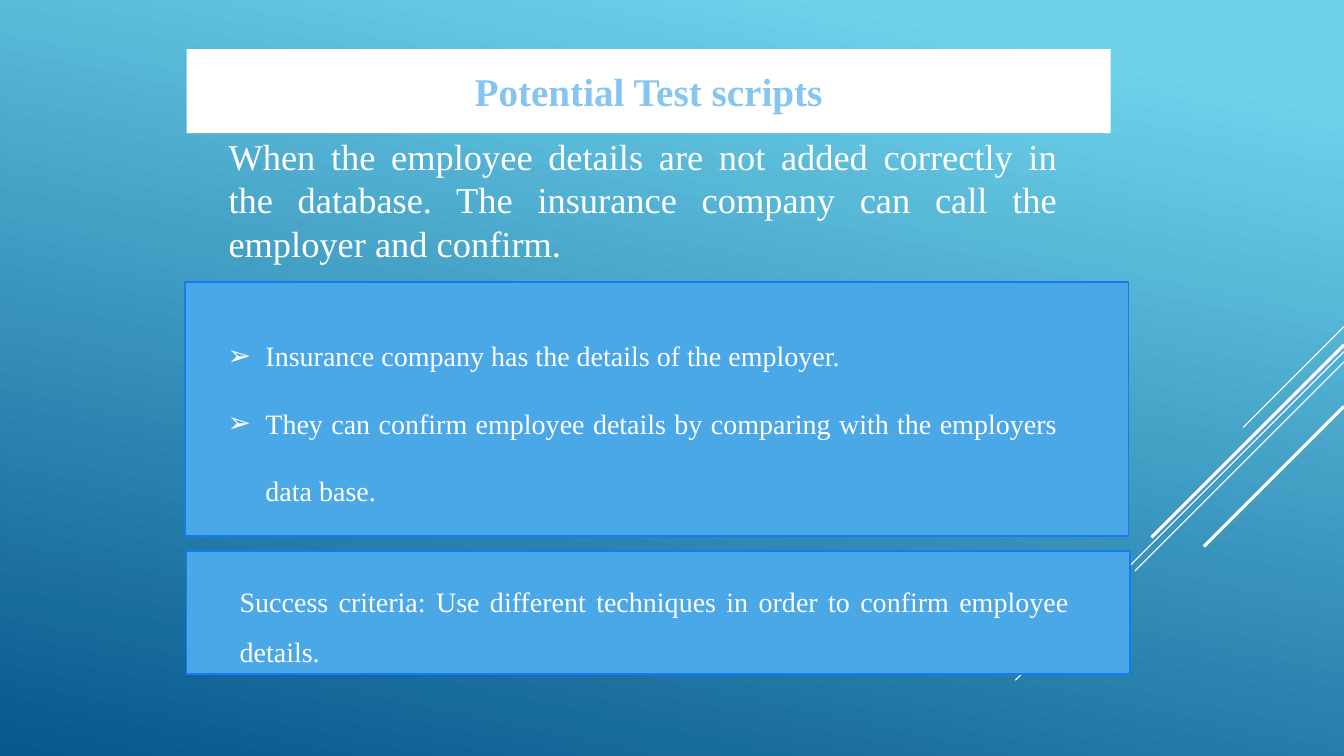
from typing import NamedTuple

from lxml import etree
from pptx import Presentation
from pptx import util as u
from pptx.dml.color import RGBColor
from pptx.enum import shapes, text
from pptx.oxml.ns import qn

WHITE = RGBColor(0xFF, 0xFF, 0xFF)
SKY = RGBColor(0x6E, 0xD2, 0xEB)
DEEP_BLUE = RGBColor(0x06, 0x58, 0x8E)
PANEL_FILL = RGBColor(0x4A, 0xA8, 0xE7)
PANEL_LINE = RGBColor(0x16, 0x7B, 0xF3)
TITLE_BLUE = RGBColor(0x86, 0xC5, 0xEF)
FONT = "Times New Roman"
SLIDE_W, SLIDE_H = 33.87, 19.05
TEXT_W, PANEL_W = 21.41, 23.77
INDENT = 0.95


class Box(NamedTuple):
    left: float
    top: float
    width: float
    height: float


class Ray(NamedTuple):
    top: float
    run: float
    weight: float


RAYS = [
    Ray(8.23, 2.54, 0.75),
    Ray(8.86, 8.28, 0.75),
    Ray(9.12, 5.27, 0.75),
    Ray(8.69, 4.85, 2.25),
    Ray(10.24, 3.53, 2.25),
]
PANELS = [Box(4.67, 7.11, PANEL_W, 6.4), Box(4.7, 13.89, PANEL_W, 3.1)]
TITLE_BOX = Box(4.7, 1.57, 23.29, 1.45)
BULLETS_BOX = Box(5.49, 7.57, TEXT_W, 5.38)
INTRO_BOX = Box(5.51, 3.25, TEXT_W, 3.58)
CRITERIA_BOX = Box(5.79, 14.17, TEXT_W, 2.67)

BULLETS = [
    "Insurance company has the details of the employer.",
    "They can confirm employee details by comparing with the employers data base.",
]
INTRO = ("When the employee details are not added correctly in the database. "
         "The insurance company can call the employer and confirm.")
CRITERIA = ("Success criteria: Use different techniques in order to confirm "
            "employee details.")


def lengths(box: Box) -> list:
    """Convert a box to slide lengths."""
    return [u.Cm(v) for v in box]


def write(tf, lines: list[str], size: float, color=WHITE, bold=False,
          align=text.PP_ALIGN.JUSTIFY, spacing=1.0, bullet="") -> None:
    """Fill a text frame with formatted paragraphs."""
    tf.word_wrap = True
    tf.auto_size = text.MSO_AUTO_SIZE.SHAPE_TO_FIT_TEXT
    for i, line in enumerate(lines):
        p = tf.add_paragraph() if i else tf.paragraphs[0]
        p.alignment, p.line_spacing = align, spacing
        r = p.add_run()
        r.text = line
        r.font.name, r.font.size, r.font.bold = FONT, u.Pt(size), bold
        r.font.color.rgb = color
        if bullet:
            pPr = p._p.get_or_add_pPr()
            pPr.set("marL", str(u.Cm(INDENT)))
            pPr.set("indent", str(-u.Cm(INDENT)))
            etree.SubElement(pPr, qn("a:buFont")).set("typeface", "Wingdings 3")
            pPr[-1].set("typeface", "Arial")
            etree.SubElement(pPr, qn("a:buChar")).set("char", bullet)


def add_text(s, box: Box, lines: list[str], size: float, **fmt) -> None:
    """Add a text box."""
    write(s.shapes.add_textbox(*lengths(box)).text_frame, lines, size, **fmt)


def add_panel(s, box: Box) -> None:
    """Add a blue panel."""
    sp = s.shapes.add_shape(shapes.MSO_SHAPE.RECTANGLE, *lengths(box))
    sp.shadow.inherit = False
    sp.fill.solid()
    sp.fill.fore_color.rgb = PANEL_FILL
    sp.line.color.rgb = PANEL_LINE
    sp.line.width = u.Pt(1.25)


def add_ray(s, ray: Ray) -> None:
    """Add a 45-degree line that falls leftwards from the right edge."""
    ends = (SLIDE_W, ray.top, SLIDE_W - ray.run, ray.top + ray.run)
    cx = s.shapes.add_connector(shapes.MSO_CONNECTOR.STRAIGHT,
                                *[u.Cm(v) for v in ends])
    cx.line.color.rgb = WHITE
    cx.line.width = u.Pt(ray.weight)
    etree.SubElement(cx._element.spPr, qn("a:effectLst"))


def paint_background(s) -> None:
    """Apply the blue gradient background."""
    fill = s.background.fill
    fill.gradient()
    fill.gradient_angle = 258
    for stop, color, position in zip(fill.gradient_stops, (SKY, DEEP_BLUE), (0.1, 1)):
        stop.color.rgb = color
        stop.position = position


def add_title(s) -> None:
    """Place and format the title."""
    sp = s.shapes.title
    sp.left, sp.top, sp.width, sp.height = lengths(TITLE_BOX)
    sp.fill.solid()
    sp.fill.fore_color.rgb = WHITE
    write(sp.text_frame, ["Potential Test scripts"], 28, color=TITLE_BLUE,
          bold=True, align=text.PP_ALIGN.CENTER)


def main() -> None:
    """Build and save the slide."""
    prs = Presentation()
    prs.slide_width, prs.slide_height = u.Cm(SLIDE_W), u.Cm(SLIDE_H)
    s = prs.slides.add_slide(prs.slide_layouts[5])
    paint_background(s)
    for ray in RAYS:
        add_ray(s, ray)
    for panel in PANELS:
        add_panel(s, panel)
    add_title(s)
    add_text(s, BULLETS_BOX, BULLETS, 20, spacing=2.0, bullet="\u27a2")
    add_text(s, INTRO_BOX, [INTRO], 26)
    add_text(s, CRITERIA_BOX, [CRITERIA], 20, spacing=1.5)
    prs.save("out.pptx")


main()
